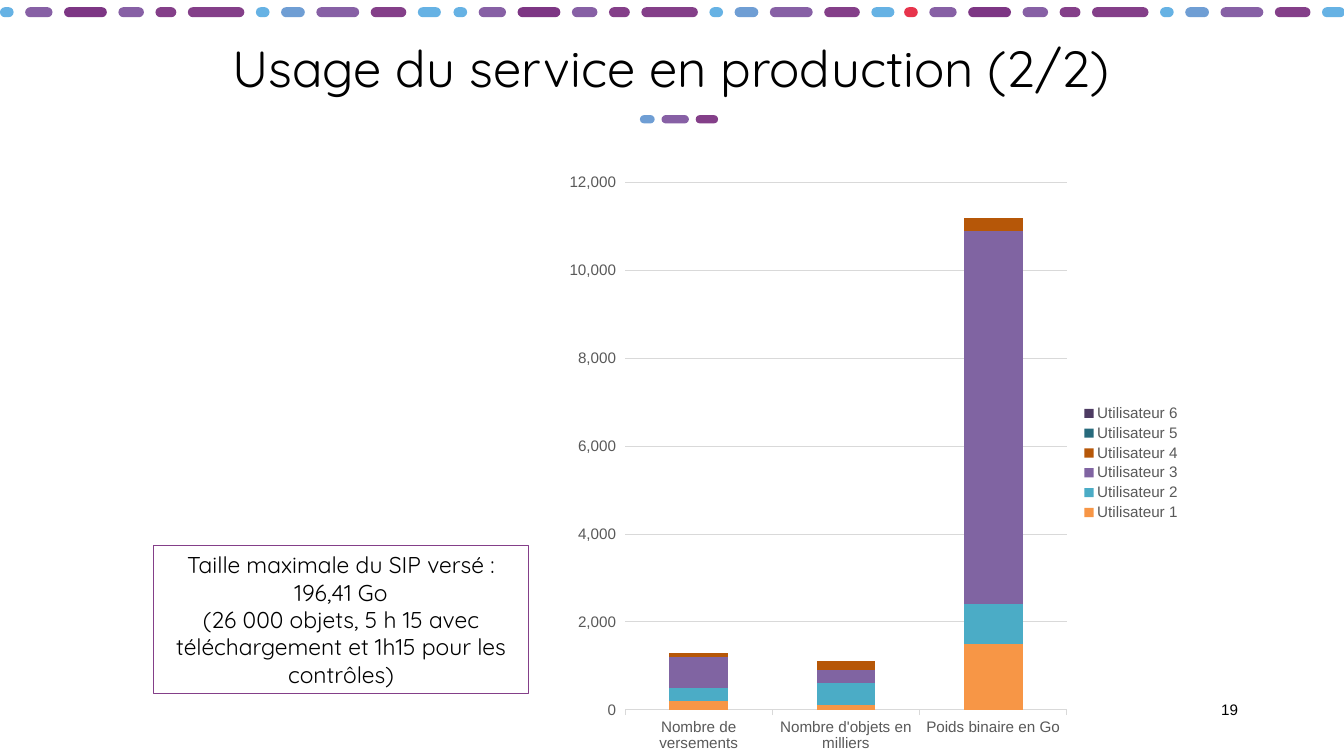
"""Build the slide on service usage in production."""
from pptx import Presentation
from pptx.chart.data import CategoryChartData
from pptx.dml.color import RGBColor
from pptx.enum.chart import XL_CHART_TYPE, XL_LEGEND_POSITION, XL_TICK_MARK
from pptx.enum.shapes import MSO_SHAPE
from pptx.enum.text import MSO_ANCHOR, PP_ALIGN
from pptx.util import Cm, Pt

STACKED = XL_CHART_TYPE.COLUMN_STACKED
RIGHT = XL_LEGEND_POSITION.RIGHT
OUTSIDE = XL_TICK_MARK.OUTSIDE
RECT, PILL = MSO_SHAPE.RECTANGLE, MSO_SHAPE.ROUNDED_RECTANGLE
MIDDLE, CENTER = MSO_ANCHOR.MIDDLE, PP_ALIGN.CENTER

COLORS = {
    "black": "000000", "grey": "595959", "pale": "D9D9D9",
    "sky": "66B2E4", "blue": "6F9ED4", "violet": "8760A5",
    "plum": "7D3684", "mauve": "843F89", "red": "E7344C",
    "orange": "F79646", "teal": "4BACC6", "purple": "8064A2",
    "rust": "B65708", "petrol": "276A7C", "night": "4D3B62",
}
TITLE = "Usage du service en production (2/2)"
NOTE = [
    "Taille maximale du SIP versé\u00a0: 196,41 Go",
    "(26 000 objets, 5 h 15 avec téléchargement et 1h15 pour les contrôles)",
]
NUMBER = "19"
CATS = ["Nombre de versements", "Nombre d'objets en milliers",
        "Poids binaire en Go"]
USERS = [
    ("orange", (200, 100, 1500)),
    ("teal", (300, 500, 900)),
    ("purple", (700, 300, 8500)),
    ("rust", (100, 200, 300)),
    ("petrol", (0, 0, 0)),
    ("night", (0, 0, 0)),
]
DASHES = [
    (0.38, "sky"), (0.76, "violet"), (1.19, "plum"), (0.71, "violet"),
    (0.58, "mauve"), (1.57, "mauve"), (0.38, "sky"), (0.66, "blue"),
    (1.19, "violet"), (0.99, "mauve"), (0.64, "sky"),
]
STARTS = [(0, "sky"), (12.6, "sky"), (25.12, "red")]
ACCENT = [(0.41, "blue"), (0.76, "violet"), (0.62, "mauve")]


def color(name):
    return RGBColor.from_string(COLORS[name])


def style(font, size, name, tint="black"):
    font.size, font.name = Pt(size), name
    font.color.rgb = color(tint)


def place(shape, left, top, width, height):
    shape.left, shape.top = Cm(left), Cm(top)
    shape.width, shape.height = Cm(width), Cm(height)


def add_row(slide, left, top, height, gap, dashes):
    for width, tint in dashes:
        dash = slide.shapes.add_shape(
            PILL, Cm(left), Cm(top), Cm(width), Cm(height))
        dash.adjustments[0] = 0.5
        dash.shadow.inherit = False
        dash.fill.solid()
        dash.fill.fore_color.rgb = color(tint)
        dash.line.fill.background()
        left += width + gap


def add_title(slide):
    title = slide.shapes.title
    place(title, 5.84, 0.61, 25.6, 2.49)
    frame = title.text_frame
    frame.text, frame.vertical_anchor = TITLE, MIDDLE
    frame.paragraphs[0].alignment = CENTER
    style(frame.paragraphs[0].font, 40, "Quicksand")


def add_note(slide):
    note = slide.shapes.add_shape(
        RECT, Cm(4.27), Cm(15.16), Cm(10.41), Cm(4.11))
    note.shadow.inherit = False
    note.fill.background()
    note.line.color.rgb = color("mauve")
    note.line.width = Pt(0.75)
    frame = note.text_frame
    frame.word_wrap = True
    frame.text = "\n".join(NOTE)
    for par in frame.paragraphs:
        par.alignment = CENTER
        style(par.font, 18, "Quicksand")


def add_number(slide):
    box = slide.shapes.add_textbox(
        Cm(33.68), Cm(19.33), Cm(3.48), Cm(0.76))
    frame = box.text_frame
    frame.word_wrap = True
    frame.text = NUMBER
    style(frame.paragraphs[0].font, 12, "Arial")


def add_usage(slide):
    data = CategoryChartData(number_format="#,##0")
    data.categories = CATS
    for rank, (_, values) in enumerate(USERS, 1):
        data.add_series(f"Utilisateur {rank}", values)
    chart = slide.shapes.add_chart(
        STACKED, Cm(15.47), Cm(4.52), Cm(17.6), Cm(16.69), data).chart
    style(chart.font, 10, "Arial")
    chart.has_title = False
    chart.has_legend = True
    chart.legend.position = RIGHT
    chart.legend.include_in_layout = False
    style(chart.legend.font, 12, "Arial", "grey")

    plot = chart.plots[0]
    plot.gap_width, plot.overlap = 150, 100
    plot.vary_by_categories = False
    for series, (tint, _) in zip(plot.series, USERS):
        series.format.fill.solid()
        series.format.fill.fore_color.rgb = color(tint)

    cat, val = chart.category_axis, chart.value_axis
    for axis in (cat, val):
        axis.major_tick_mark = OUTSIDE
        style(axis.tick_labels.font, 12, "Arial", "grey")
    val.has_major_gridlines = True
    val.tick_labels.number_format = "#,##0"
    val.tick_labels.number_format_is_linked = False
    val.format.line.fill.background()
    for line in (cat.format.line, val.major_gridlines.format.line):
        line.color.rgb = color("pale")
        line.width = Pt(0.75)


def main():
    prs = Presentation()
    prs.slide_width, prs.slide_height = Cm(37.34), Cm(21.01)
    slide = prs.slides.add_slide(prs.slide_layouts[5])
    for left, first in STARTS:
        dashes = [(DASHES[0][0], first)] + DASHES[1:]
        add_row(slide, left, 0.2, 0.28, 0.32, dashes)
    add_number(slide)
    add_note(slide)
    add_usage(slide)
    add_title(slide)
    add_row(slide, 17.78, 3.2, 0.23, 0.19, ACCENT)
    prs.save("out.pptx")


if __name__ == "__main__":
    main()
